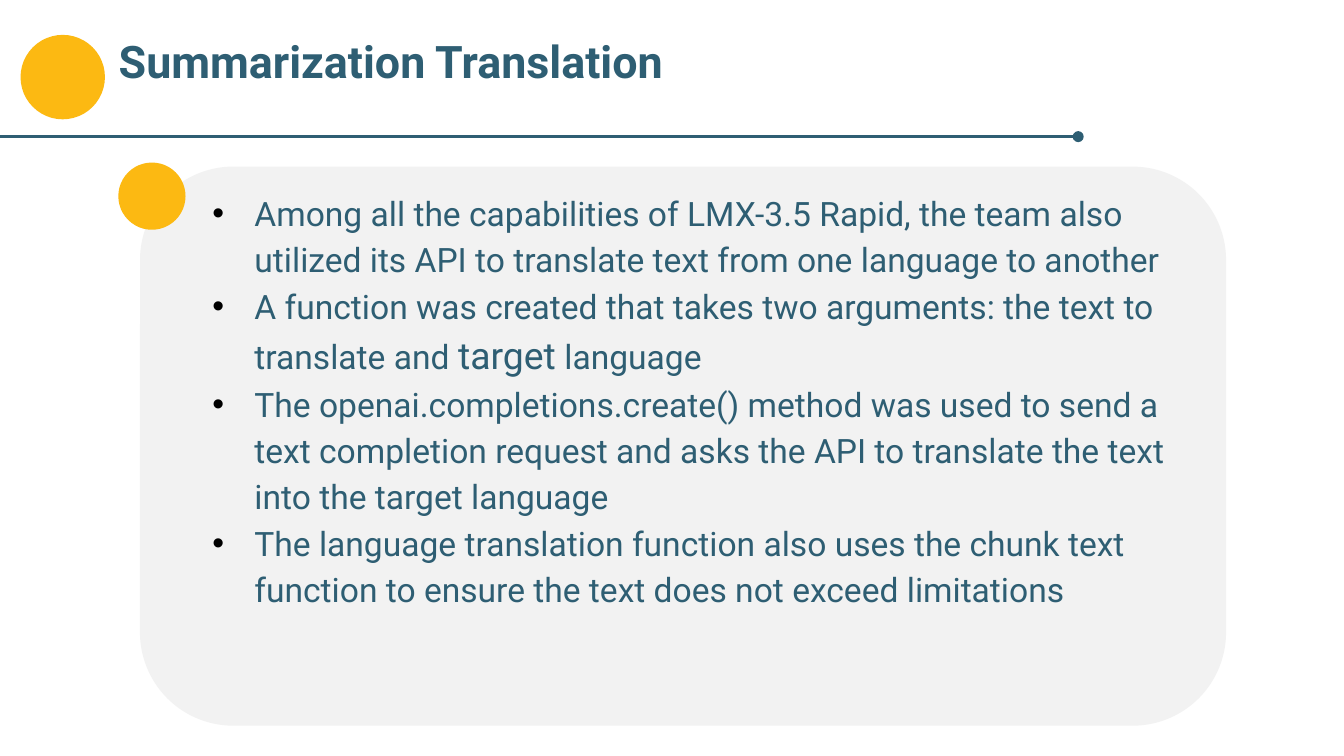
from lxml.etree import SubElement
from pptx import Presentation
from pptx.dml.color import RGBColor
from pptx.enum.shapes import MSO_CONNECTOR, MSO_SHAPE
from pptx.enum.text import MSO_ANCHOR, MSO_AUTO_SIZE, PP_ALIGN
from pptx.oxml.ns import qn
from pptx.util import Pt

COLORS = {"teal": "2E5E73", "amber": "FCB912", "panel": "F2F2F2", "bullet": "000000"}
BULLETS = [
    [("Among all the capabilities of LMX-3.5 Rapid, the team also utilized its API "
      "to translate text from one language to another", 18)],
    [("A function was created that takes two arguments: the text to translate and ", 18),
     ("target", 20), (" language", 18)],
    [("The openai.completions.create() method was used to send a text completion request "
      "and asks the API to translate the text into the target language", 18)],
    [("The language translation function also uses the chunk text function to ensure "
      "the text does not exceed limitations", 18)],
]


def rgb(name):
    """Return the named colour."""
    return RGBColor.from_string(COLORS[name])


def set_attrs(obj, values):
    """Set each attribute of an object from a dict."""
    for name, value in values.items():
        setattr(obj, name, value)


def place(sp, box, anchor):
    """Move a placeholder into a box and set up its text frame."""
    for name, value in zip(("left", "top", "width", "height"), box):
        setattr(sp, name, Pt(value))
    tf = sp.text_frame
    margins = ("margin_left", "margin_top", "margin_right", "margin_bottom")
    set_attrs(tf, {**dict.fromkeys(margins, Pt(7.2)), "word_wrap": True,
                   "auto_size": MSO_AUTO_SIZE.NONE, "vertical_anchor": anchor})
    return tf


def add_run(p, text, size, bold=False):
    """Add a formatted run to a paragraph."""
    r = p.add_run()
    r.text = text
    set_attrs(r.font, {"name": "Roboto", "size": Pt(size), "bold": bold})
    r.font.color.rgb = rgb("teal")


def add_filled(s, kind, box, color):
    """Add a borderless filled shape."""
    sp = s.shapes.add_shape(kind, *map(Pt, box))
    sp.shadow.inherit = False
    sp.fill.solid()
    sp.fill.fore_color.rgb = rgb(color)
    sp.line.fill.background()
    return sp


def add_bullet(p):
    """Give a paragraph a hanging round bullet."""
    pPr = p._p.get_or_add_pPr()
    pPr.set("marL", str(Pt(22.5)))
    pPr.set("indent", str(-Pt(22.5)))
    SubElement(SubElement(pPr, qn("a:buClr")), qn("a:srgbClr"), val=COLORS["bullet"])
    SubElement(pPr, qn("a:buFont"), typeface="Arial")
    SubElement(pPr, qn("a:buChar"), char="•")


def add_header(s, box):
    """Place the title, its dot and the rule below within a box."""
    left, top, width, height = box
    add_filled(s, MSO_SHAPE.OVAL, (left + 11, top + 8.7, 45.2, 45.2), "amber")
    tf = place(s.shapes.title, (left + 56.4, top, width - 81, 45.2), MSO_ANCHOR.MIDDLE)
    p = tf.paragraphs[0]
    p.alignment = PP_ALIGN.LEFT
    add_run(p, "Summarization Translation", 24, bold=True)

    y = Pt(top + height)
    rule = s.shapes.add_connector(MSO_CONNECTOR.STRAIGHT, Pt(left - 0.7), y, Pt(left + 577.6), y)
    rule.line.color.rgb = rgb("teal")
    rule.line.width = Pt(1.5)
    SubElement(rule.line._get_or_add_ln(), qn("a:tailEnd"), type="oval")
    SubElement(rule._element.spPr, qn("a:effectLst"))


def add_content(s, box):
    """Place the rounded panel, its bullet list and its corner dot within a box."""
    left, top, width, height = box
    panel = add_filled(s, MSO_SHAPE.ROUNDED_RECTANGLE, box, "panel")
    panel.adjustments[0] = 0.167
    body = s.placeholders[1]
    panel.element.addnext(body.element)
    tf = place(body, (left + 31.6, top + 3.6, width - 39, height - 31.7), MSO_ANCHOR.TOP)
    for i, runs in enumerate(BULLETS):
        p = tf.add_paragraph() if i else tf.paragraphs[0]
        set_attrs(p, {"line_spacing": 1.15, "space_before": Pt(0),
                      "space_after": Pt(0), "alignment": PP_ALIGN.LEFT})
        add_bullet(p)
        for text, size in runs:
            add_run(p, text, size)
    add_filled(s, MSO_SHAPE.OVAL, (left - 11.6, top - 2.2, 36, 36), "amber")


def main():
    """Build and save the slide."""
    prs = Presentation()
    set_attrs(prs, {"slide_width": Pt(720), "slide_height": Pt(405)})
    s = prs.slides.add_slide(prs.slide_layouts[1])
    add_header(s, (0, 10, 720, 63.2))
    add_content(s, (75, 89.3, 581.8, 299.5))
    prs.save("out.pptx")


if __name__ == "__main__":
    main()
